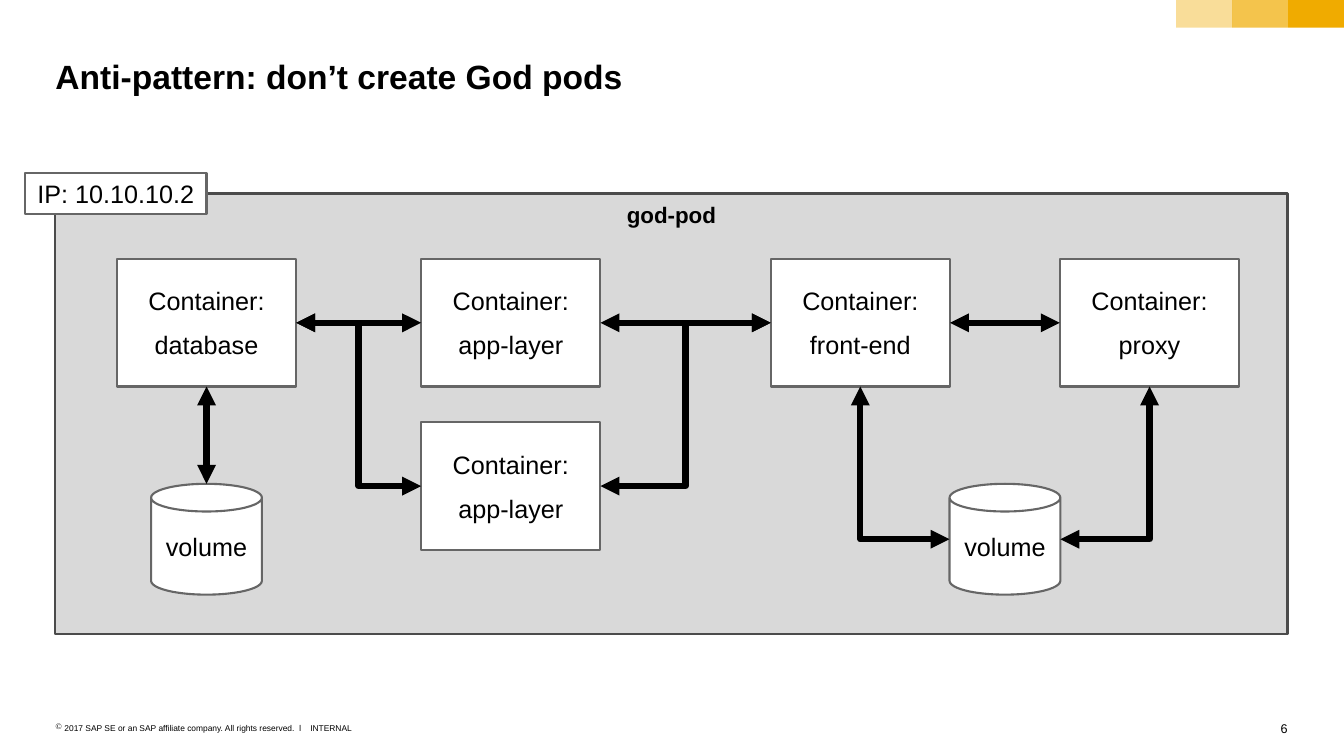
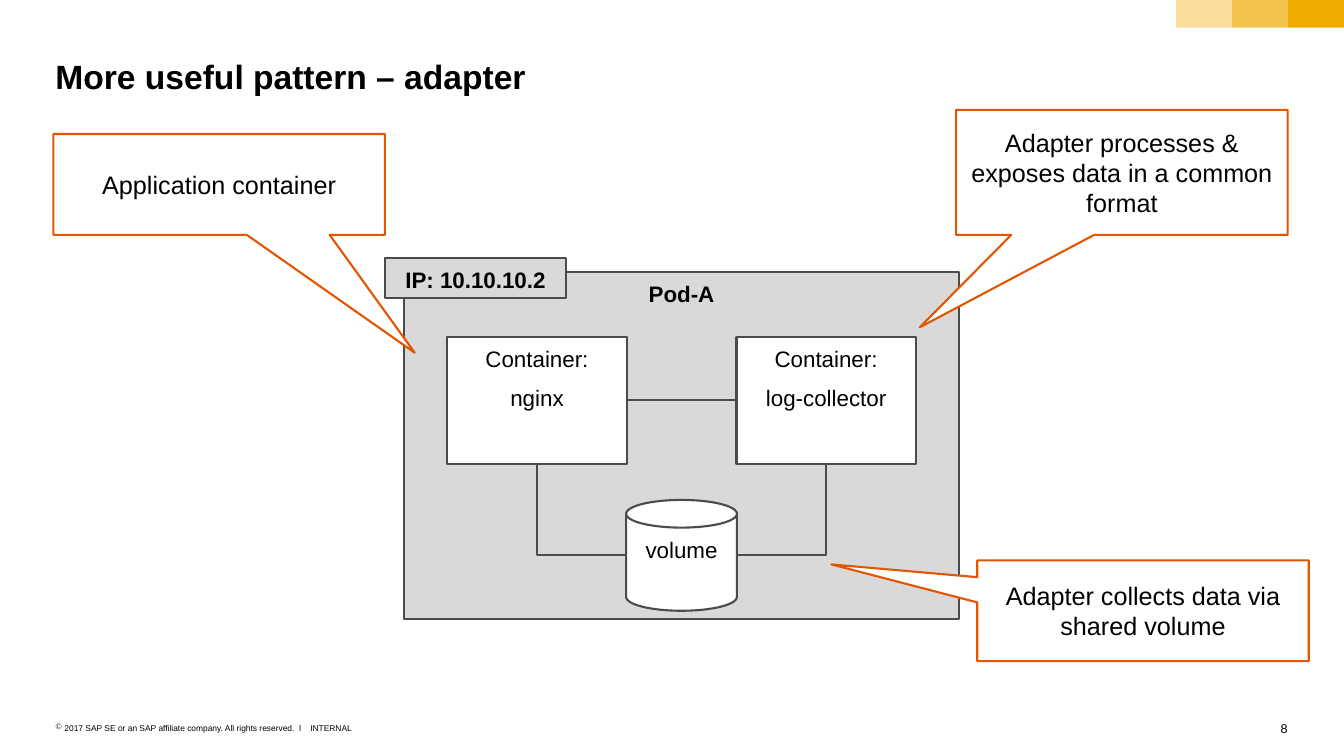
from lxml.etree import SubElement
from pptx import Presentation
from pptx.dml.color import RGBColor
from pptx.enum.shapes import MSO_CONNECTOR, MSO_SHAPE
from pptx.enum.text import MSO_ANCHOR, MSO_AUTO_SIZE, PP_ALIGN
from pptx.oxml.ns import qn
from pptx.util import Inches, Pt

COLORS = {
    "black": "000000", "white": "FFFFFF", "pod": "D9D9D9",
    "dark": "4B4B4B", "mid": "666666", "gold": "F0AB00", "orange": "E35500",
}
LOOKS = {
    "frame": {"fill": "pod", "line": "dark", "size": 16, "bold": True, "anchor": MSO_ANCHOR.TOP},
    "small": {"fill": "white", "line": "dark", "size": 16, "bold": False, "anchor": MSO_ANCHOR.TOP},
    "large": {"fill": "white", "line": "mid", "size": 18, "bold": False, "anchor": MSO_ANCHOR.MIDDLE},
    "callout": {"fill": "white", "line": "orange", "size": 18, "bold": False, "anchor": MSO_ANCHOR.MIDDLE},
}
COLUMNS, ROWS, CELL = 133.4, 75, Inches(0.1)
MARGIN, CONTENT = 5.5, 122.3
CONTAINER, VOLUME, TAG = (17.8, 12.65), (11, 11), (18, 4)
TOP, LEFT, BOTTOM, RIGHT = range(4)
BAND, BAND_HEIGHT = 5.55, 2.75
SPACE_BEFORE = 0.55


def grid(*cells):
    return [int(cell * CELL) for cell in cells]


def color(name):
    return RGBColor.from_string(COLORS[name])


def assign(target, values):
    for name, value in values.items():
        setattr(target, name, value)


def side_point(shape, side):
    middle_x = shape.left + shape.width // 2
    middle_y = shape.top + shape.height // 2
    return {
        TOP: (middle_x, shape.top),
        LEFT: (shape.left, middle_y),
        BOTTOM: (middle_x, shape.top + shape.height),
        RIGHT: (shape.left + shape.width, middle_y),
    }[side]


class Deck:
    def __init__(self):
        self.deck = Presentation()
        self.deck.slide_width, self.deck.slide_height = grid(COLUMNS, ROWS)
        self.page = None

    def add_page(self, title, number):
        self.page = self.deck.slides.add_slide(self.deck.slide_layouts[5])
        heading = self.page.shapes.title
        assign(heading, dict(zip(("left", "top", "width", "height"), grid(MARGIN, 5.5, CONTENT, 4))))
        self.set_text(heading, [title], 24, bold=True, align=PP_ALIGN.LEFT)
        for step, opacity in enumerate((100, 70, 40), 1):
            self.band(COLUMNS - step * BAND, opacity)
        notice = self.label("2017 SAP SE or an SAP affiliate company. All rights reserved.  ǀ",
                            (MARGIN, 71.7, 24.8, 1), 6)
        self.bullet(notice.text_frame.paragraphs[0], "©", 0.9)
        self.label("INTERNAL", (30.8, 71.7, 4.2, 1), 6, wrap=False)
        self.label(number, (126.3, 71.5, 1.5, 1.5), 9, PP_ALIGN.RIGHT, False)

    def set_text(self, shape, lines, size, bold=False, align=PP_ALIGN.CENTER,
                 anchor=MSO_ANCHOR.TOP, inset=(0, 0), wrap=True):
        frame = shape.text_frame
        across, down = grid(*inset)
        assign(frame, {
            "margin_left": across, "margin_right": across,
            "margin_top": down, "margin_bottom": down,
            "word_wrap": wrap, "auto_size": MSO_AUTO_SIZE.NONE, "vertical_anchor": anchor,
        })
        for index, line in enumerate(lines):
            para = frame.add_paragraph() if index else frame.paragraphs[0]
            para.alignment = align
            if index:
                para.space_before = Pt(size * SPACE_BEFORE)
            span = para.add_run()
            span.text = line
            assign(span.font, {"name": "Arial", "size": Pt(size), "bold": bold})
            span.font.color.rgb = color("black")

    def label(self, text, place, size, align=PP_ALIGN.LEFT, wrap=True):
        box = self.page.shapes.add_textbox(*grid(*place))
        self.set_text(box, [text], size, align=align, wrap=wrap)
        return box

    def bullet(self, para, mark, indent):
        hanging, = grid(indent)
        properties = para._p.get_or_add_pPr()
        properties.set("marL", str(hanging))
        properties.set("indent", str(-hanging))
        SubElement(properties, qn("a:buChar")).set("char", mark)

    def shape(self, kind, place, fill):
        shape = self.page.shapes.add_shape(kind, *grid(*place))
        shape.shadow.inherit = False
        shape.fill.solid()
        shape.fill.fore_color.rgb = color(fill)
        return shape

    def band(self, left, opacity):
        band = self.shape(MSO_SHAPE.RECTANGLE, (left, 0, BAND, BAND_HEIGHT), "gold")
        band.line.fill.background()
        if opacity < 100:
            tint = band._element.spPr.find(qn("a:solidFill")).find(qn("a:srgbClr"))
            SubElement(tint, qn("a:alpha")).set("val", str(opacity * 1000))

    def box(self, lines, place, look, kind=MSO_SHAPE.RECTANGLE):
        style = LOOKS[look]
        box = self.shape(kind, place, style["fill"])
        box.line.color.rgb = color(style["line"])
        box.line.width = Pt(1.5)
        self.set_text(box, lines, style["size"], style["bold"], anchor=style["anchor"], inset=(1, 0.8))
        return box

    def container(self, name, left, top, look):
        return self.box(["Container:", name], (left, top, *CONTAINER), look)

    def volume(self, left, top, look):
        return self.box(["volume"], (left, top, *VOLUME), look, MSO_SHAPE.CAN)

    def tag(self, left, top, look):
        return self.box(["IP: 10.10.10.2"], (left, top, *TAG), look)

    def callout(self, text, place, tip):
        box = self.box([text], place, "callout", MSO_SHAPE.RECTANGULAR_CALLOUT)
        for index, share in enumerate(tip):
            box.adjustments[index] = share

    def join(self, first, first_side, second, second_side, line="dark", width=1.5, arrows=False):
        start, end = side_point(first, first_side), side_point(second, second_side)
        straight = any(abs(a - b) < CELL // 4 for a, b in zip(start, end))
        kind = MSO_CONNECTOR.STRAIGHT if straight else MSO_CONNECTOR.ELBOW
        link = self.page.shapes.add_connector(kind, *start, *end)
        if straight:
            for shape, side, connect in ((first, first_side, link.begin_connect),
                                         (second, second_side, link.end_connect)):
                if shape.auto_shape_type == MSO_SHAPE.RECTANGLE:
                    connect(shape, side)
        elif first_side % 2 != second_side % 2:
            link._element.spPr.find(qn("a:prstGeom")).set("prst", "bentConnector2")
        link.line.color.rgb = color(line)
        link.line.width = Pt(width)
        if arrows:
            outline = link._element.spPr.find(qn("a:ln"))
            for end_name in ("a:headEnd", "a:tailEnd"):
                SubElement(outline, qn(end_name)).set("type", "triangle")
        SubElement(link._element.spPr, qn("a:effectLst"))


def god_pod(deck):
    deck.add_page("Anti-pattern: don’t create God pods", "6")
    deck.box(["god-pod"], (MARGIN, 19.2, CONTENT, 43.7), "frame")
    deck.tag(2.5, 17.2, "large")
    database, app, front, proxy = [
        deck.container(name, left, 25.7, "large")
        for name, left in (("database", 11.6), ("app-layer", 41.8),
                           ("front-end", 76.5), ("proxy", 105.2))
    ]
    second_app = deck.container("app-layer", 41.8, 41.9, "large")
    data_volume, shared_volume = [deck.volume(left, 48, "large") for left in (15, 94.25)]
    for ends in (
        (database, BOTTOM, data_volume, TOP),
        (database, RIGHT, app, LEFT),
        (database, RIGHT, second_app, LEFT),
        (app, RIGHT, front, LEFT),
        (second_app, RIGHT, front, LEFT),
        (front, RIGHT, proxy, LEFT),
        (shared_volume, LEFT, front, BOTTOM),
        (shared_volume, RIGHT, proxy, BOTTOM),
    ):
        deck.join(*ends, line="black", width=4.5, arrows=True)


def adapter(deck):
    deck.add_page("More useful pattern – adapter", "8")
    deck.box(["Pod-A"], (40.1, 27, 55.1, 34.4), "frame")
    deck.tag(38.2, 25.6, "frame")
    server = deck.container("nginx", 44.4, 33.4, "small")
    collector = deck.container("log-collector", 73.1, 33.4, "small")
    volume = deck.volume(62.15, 49.6, "small")
    deck.join(server, RIGHT, collector, LEFT)
    deck.join(volume, LEFT, server, BOTTOM)
    deck.join(volume, RIGHT, collector, BOTTOM)
    for text, place, tip in (
        ("Adapter collects data via shared volume", (97, 55.6, 32.9, 10), (-0.94, -0.46)),
        ("Application container", (5.3, 13.3, 32.9, 10), (0.59, 1.67)),
        ("Adapter processes & exposes data in a common format", (94.9, 10.9, 32.9, 12.4), (-0.61, 1.24)),
    ):
        deck.callout(text, place, tip)


def main():
    deck = Deck()
    god_pod(deck)
    adapter(deck)
    deck.deck.save("out.pptx")


if __name__ == "__main__":
    main()
